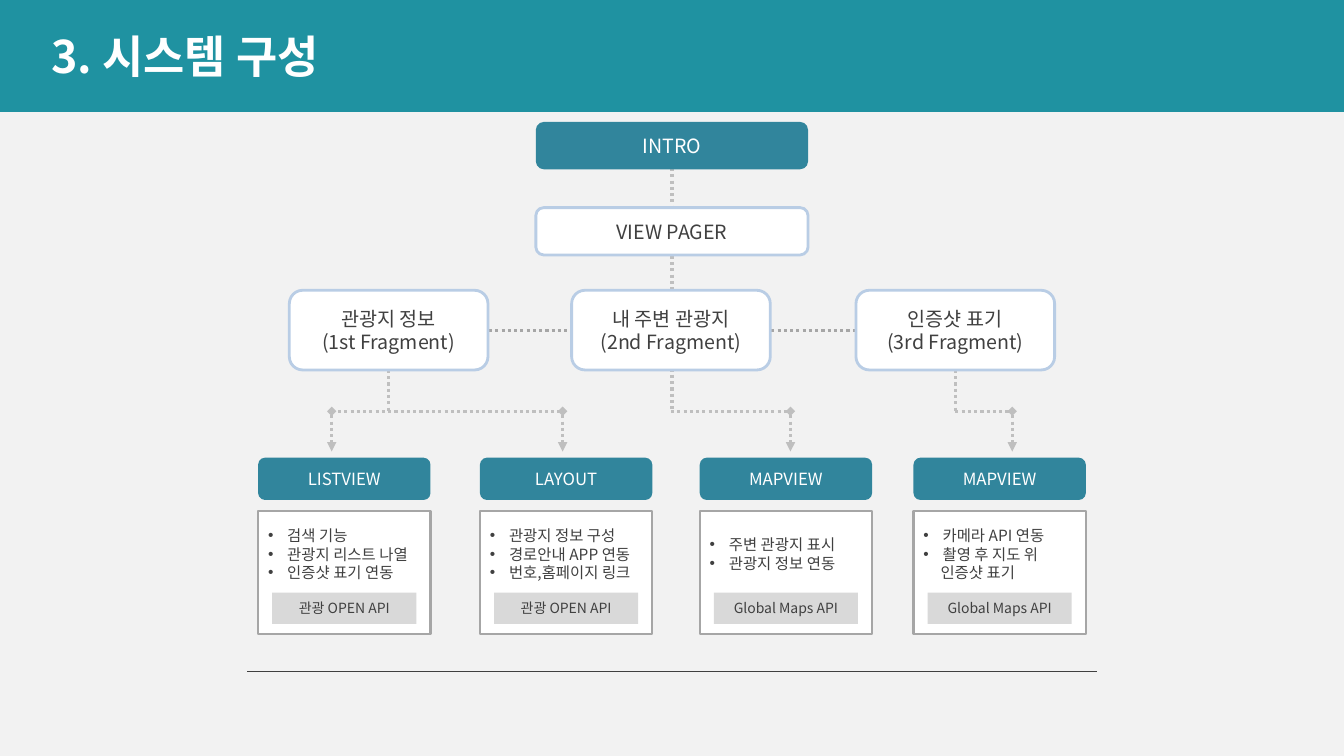
from lxml.etree import SubElement
from pptx import Presentation
from pptx.dml.color import RGBColor
from pptx.enum.dml import MSO_LINE
from pptx.enum.shapes import MSO_CONNECTOR, MSO_SHAPE
from pptx.enum.text import MSO_ANCHOR, PP_ALIGN
from pptx.oxml.ns import qn
from pptx.util import Inches, Pt

FONT = "Noto Sans CJK KR"
WHITE = RGBColor(0xFF, 0xFF, 0xFF)
PAPER = RGBColor(0xF2, 0xF2, 0xF2)
BANNER = RGBColor(0x1F, 0x92, 0xA1)
TEAL = RGBColor(0x31, 0x85, 0x9C)
PALE_BLUE = RGBColor(0xB9, 0xCD, 0xE5)
INK = RGBColor(0x40, 0x40, 0x40)
GREY = RGBColor(0xA6, 0xA6, 0xA6)
LIGHT_GREY = RGBColor(0xBF, 0xBF, 0xBF)
CHIP_GREY = RGBColor(0xD9, 0xD9, 0xD9)

TREE_BOX = (2.45, 1.21, 8.43, 3.27)
FRAGMENTS = [
    (2.87, "관광지 정보", "(1st Fragment)"),
    (5.67, "내 주변 관광지", "(2nd Fragment)"),
    (8.49, "인증샷 표기", "(3rd Fragment)"),
]
ARROWS = [3.29, 5.58, 7.84, 10.04]
# Card: left, heading, bulleted lines, continuation line, data source
CARDS = [
    (2.56, "LISTVIEW", ["검색 기능", "관광지 리스트 나열", "인증샷 표기 연동"], "", "관광 OPEN API"),
    (4.76, "LAYOUT", ["관광지 정보 구성", "경로안내 APP 연동", "번호,홈페이지 링크"], "", "관광 OPEN API"),
    (6.94, "MAPVIEW", ["주변 관광지 표시", "관광지 정보 연동"], "", "Global Maps API"),
    (9.06, "MAPVIEW", ["카메라 API 연동", "촬영 후 지도 위"], "인증샷 표기", "Global Maps API"),
]


def write(frame, lines, size, color, align=PP_ALIGN.CENTER, bold=False):
    frame.word_wrap = True
    frame.vertical_anchor = MSO_ANCHOR.MIDDLE
    for index, line in enumerate(lines):
        para = frame.paragraphs[0] if index == 0 else frame.add_paragraph()
        para.alignment = align
        span = para.add_run()
        span.text = line
        for name, value in {"size": Pt(size), "name": FONT, "bold": bold}.items():
            setattr(span.font, name, value)
        span.font.color.rgb = color
        SubElement(span.font._element, qn("a:ea"), typeface=FONT)


def add_block(page, kind, box, fill, outline=None, width=0):
    block = page.shapes.add_shape(kind, *map(Inches, box))
    block.shadow.inherit = False
    block.fill.solid()
    block.fill.fore_color.rgb = fill
    if outline is None:
        block.line.fill.background()
    else:
        block.line.color.rgb = outline
        block.line.width = Pt(width)
    return block


def add_line(page, start, end, color=LIGHT_GREY, width=2.25, dotted=True, arrow=False):
    line = page.shapes.add_connector(MSO_CONNECTOR.STRAIGHT, *map(Inches, (*start, *end)))
    line.line.color.rgb = color
    line.line.width = Pt(width)
    if dotted:
        line.line.dash_style = MSO_LINE.ROUND_DOT
    if arrow:
        outline = line.line._get_or_add_ln()
        SubElement(outline, qn("a:headEnd"), type="diamond")
        SubElement(outline, qn("a:tailEnd"), type="triangle")
    SubElement(line._element.spPr, qn("a:effectLst"))


def add_banner(page, box):
    left, top, width, height = box
    add_block(page, MSO_SHAPE.RECTANGLE, box, BANNER)
    title = page.shapes.add_textbox(*map(Inches, (left + 0.41, top + 0.24, 3.16, 0.63)))
    write(title.text_frame, ["3. 시스템 구성"], 32, WHITE, PP_ALIGN.LEFT, True)


def add_tree(page, box):
    left, top, width, height = box
    center = left + width / 2
    fragment_top, fragment_width, fragment_height = top + 1.67, 1.97, 0.79
    fragment_bottom = fragment_top + fragment_height
    branch, tip = top + 2.87, top + height
    first, second, third = [x + fragment_width / 2 for x, *_ in FRAGMENTS]

    # Dotted links, behind the boxes
    add_line(page, (center, top + 0.27), (center, branch))
    middle = fragment_top + 0.4
    add_line(page, (first, middle), (third, middle), GREY)
    for x in (first, third):
        add_line(page, (x, fragment_bottom), (x, branch))
    for start, end in [(ARROWS[0], ARROWS[1]), (second, ARROWS[2]), (third, ARROWS[3])]:
        add_line(page, (start, branch), (end, branch))
    for x in ARROWS:
        add_line(page, (x, branch), (x, tip), arrow=True)

    # Intro and pager
    for offset, label, fill, outline, color in [
        (0, "INTRO", TEAL, None, WHITE),
        (0.85, "VIEW PAGER", WHITE, PALE_BLUE, INK),
    ]:
        node = add_block(page, MSO_SHAPE.ROUNDED_RECTANGLE,
                         (center - 1.35, top + offset, 2.7, 0.47), fill, outline, 2)
        write(node.text_frame, [label], 14, color)

    # Fragments
    for x, *lines in FRAGMENTS:
        node = add_block(page, MSO_SHAPE.ROUNDED_RECTANGLE,
                         (x, fragment_top, fragment_width, fragment_height), WHITE, PALE_BLUE, 2)
        write(node.text_frame, lines, 14, INK)


def add_card(page, box, heading, bullets, continuation, source):
    left, top, width, height = box
    head = add_block(page, MSO_SHAPE.ROUNDED_RECTANGLE, (left, top, width, 0.42), TEAL)
    write(head.text_frame, [heading], 12, WHITE)

    # Body, with room kept for the source chip
    body = add_block(page, MSO_SHAPE.RECTANGLE,
                     (left, top + 0.53, width, height - 0.53), WHITE, GREY, 1.5)
    frame = body.text_frame
    frame.margin_top, frame.margin_bottom = 0, Inches(0.37)
    lines = bullets + [continuation] if continuation else bullets
    write(frame, lines, 11, INK, PP_ALIGN.LEFT)
    for index, para in enumerate(frame.paragraphs):
        layout = para._p.get_or_add_pPr()
        if index < len(bullets):
            layout.set("marL", str(Inches(0.19)))
            layout.set("indent", str(-Inches(0.19)))
            SubElement(layout, qn("a:buFont"), typeface="Arial")
            SubElement(layout, qn("a:buChar"), char="•")
        else:
            layout.set("marL", str(Inches(0.17)))

    chip = add_block(page, MSO_SHAPE.RECTANGLE, (left + 0.14, top + 1.34, 1.43, 0.31), CHIP_GREY)
    write(chip.text_frame, [source], 10, INK)


def main():
    deck = Presentation()
    deck.slide_width, deck.slide_height = Inches(13.33), Inches(7.5)
    page = deck.slides.add_slide(deck.slide_layouts[6])
    page.background.fill.solid()
    page.background.fill.fore_color.rgb = PAPER

    add_banner(page, (0, 0, 13.33, 1.11))
    add_tree(page, TREE_BOX)
    for left, *content in CARDS:
        add_card(page, (left, 4.54, 1.71, 1.75), *content)
    # Closing rule
    add_line(page, (2.45, 6.66), (10.88, 6.66), INK, 0.75, dotted=False)
    deck.save("out.pptx")


if __name__ == "__main__":
    main()
